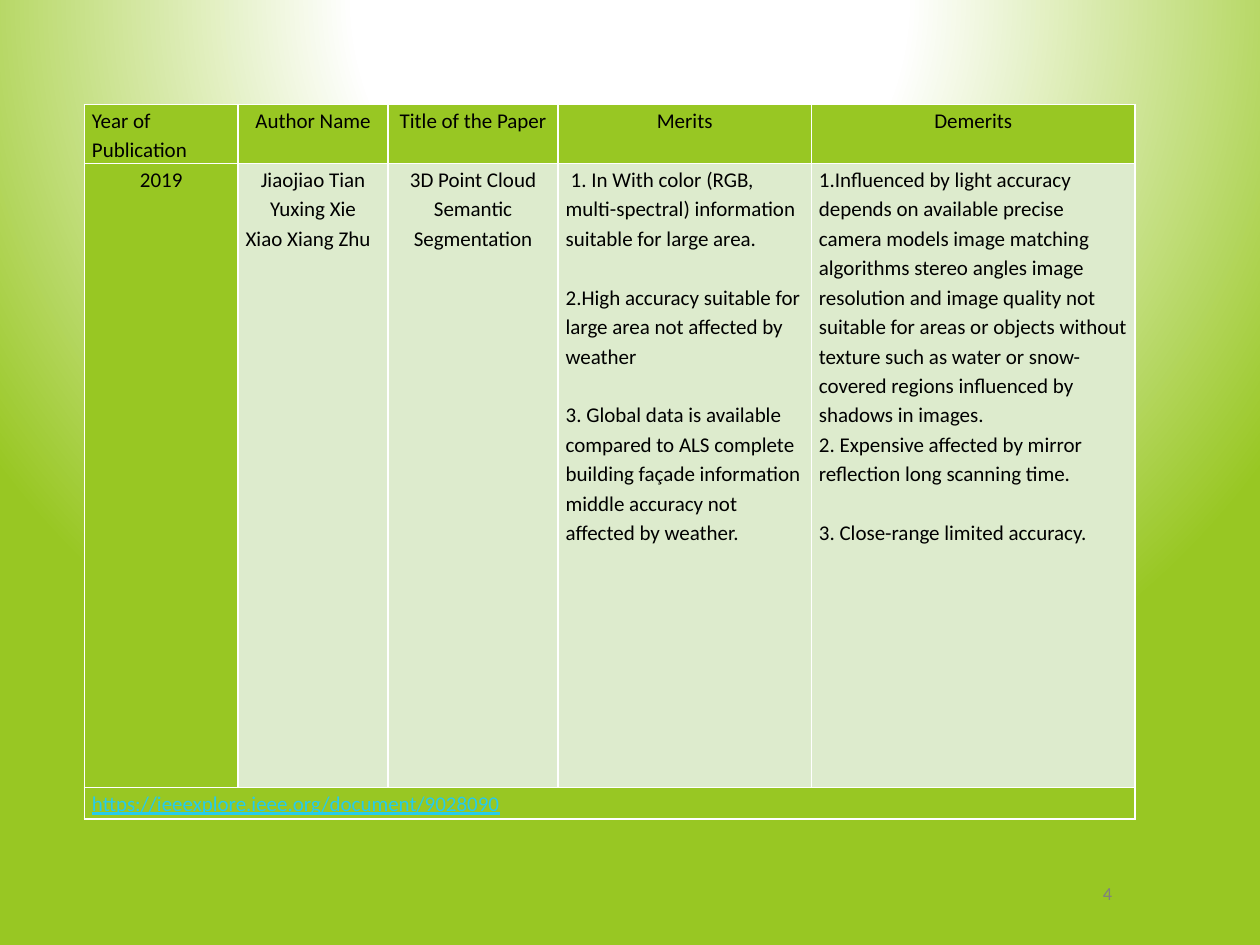
from dataclasses import dataclass

from pptx import Presentation
from pptx.dml.color import RGBColor
from pptx.enum import text
from pptx.oxml import parse_xml
from pptx.oxml.ns import nsdecls
from pptx.util import Inches, Pt

COLORS = {"green": "98C723", "pale": "DDEBCD", "white": "FFFFFF",
          "ink": "000000", "link": "26CBEC", "number": "808080"}
LEFT, CENTER = text.PP_ALIGN.LEFT, text.PP_ALIGN.CENTER
FONT = "Calibri"
BLANK_LINE = Pt(16.8)
COLUMN_WIDTHS = (1.22, 1.19, 1.35, 2.01, 2.57)
ROW_HEIGHTS = (0.47, 4.95, 0.25)
CELL_FORMAT = {"margin_left": Inches(0.06), "margin_right": Inches(0.06),
               "margin_top": 0, "margin_bottom": 0}


@dataclass
class Line:
    words: str
    align: text.PP_ALIGN = LEFT
    gap: bool = False        # one line of space above
    indent: float = 0        # first-line indent in inches
    color: str = "ink"
    underline: bool = False


@dataclass
class Entry:
    lines: list[Line]
    fill: str = "green"


def centered(*words: str) -> list[Line]:
    return [Line(line, CENTER) for line in words]


HEADER = [Entry([Line("Year of Publication")])] + [
    Entry(centered(name))
    for name in ("Author Name", "Title of the Paper", "Merits", "Demerits")]
PAPER = [
    Entry(centered("2019")),
    Entry(centered("Jiaojiao Tian", "Yuxing Xie") + [Line("Xiao Xiang Zhu")], "pale"),
    Entry(centered("3D Point Cloud Semantic", "Segmentation"), "pale"),
    Entry([
        Line("1. In With color (RGB, multi-spectral) information suitable "
             "for large area.", indent=0.04),
        Line("2.High accuracy suitable for large area not affected by weather", gap=True),
        Line("3. Global data is available compared to ALS complete building "
             "façade information middle accuracy not affected by weather.", gap=True),
    ], "pale"),
    Entry([
        Line("1.Influenced by light accuracy depends on available precise camera "
             "models image matching algorithms stereo angles image resolution and "
             "image quality not suitable for areas or objects without texture such "
             "as water or snow-covered regions influenced by shadows in images."),
        Line("2. Expensive affected by mirror reflection long scanning time."),
        Line("3. Close-range limited accuracy.", gap=True),
    ], "pale"),
]
SOURCE = [Entry([Line("https://ieeexplore.ieee.org/document/9028090",
                      color="link", underline=True)])]


def rgb(name: str) -> RGBColor:
    return RGBColor.from_string(COLORS[name])


def paint_background(slide) -> None:
    stops = "".join(
        f'<a:gs pos="{position * 1000}"><a:srgbClr val="{COLORS[color]}"/></a:gs>'
        for position, color in ((0, "white"), (35, "white"), (100, "green")))
    slide.element.cSld.insert(0, parse_xml(
        f'<p:bg {nsdecls("p", "a")}><p:bgPr><a:gradFill rotWithShape="1">'
        f'<a:gsLst>{stops}</a:gsLst><a:path path="circle">'
        '<a:fillToRect l="50000" t="-80000" r="50000" b="180000"/></a:path>'
        '</a:gradFill><a:effectLst/></p:bgPr></p:bg>'))


def add_borders(cell) -> None:
    properties = cell._tc.get_or_add_tcPr()
    for side in "LRTB":
        properties.append(parse_xml(
            f'<a:ln{side} {nsdecls("a")} w="12700"><a:solidFill>'
            f'<a:srgbClr val="{COLORS["white"]}"/></a:solidFill></a:ln{side}>'))


def write_line(paragraph, line: Line, size: float) -> None:
    paragraph.alignment = line.align
    if line.gap:
        paragraph.space_before = BLANK_LINE
    if line.indent:
        paragraph._p.get_or_add_pPr().set("indent", str(Inches(line.indent)))
    run = paragraph.add_run()
    run.text = line.words
    font_format = {"name": FONT, "size": Pt(size), "bold": False,
                   "underline": line.underline}
    for attribute, value in font_format.items():
        setattr(run.font, attribute, value)
    run.font.color.rgb = rgb(line.color)


def fill_cell(cell, entry: Entry) -> None:
    for attribute, value in CELL_FORMAT.items():
        setattr(cell, attribute, value)
    cell.fill.solid()
    cell.fill.fore_color.rgb = rgb(entry.fill)
    frame = cell.text_frame
    for index, line in enumerate(entry.lines):
        paragraph = frame.add_paragraph() if index else frame.paragraphs[0]
        paragraph.line_spacing = 1.15
        write_line(paragraph, line, 12)


def add_survey(slide) -> None:
    survey = slide.shapes.add_table(
        len(ROW_HEIGHTS), len(COLUMN_WIDTHS), Inches(0.67), Inches(0.83),
        Inches(sum(COLUMN_WIDTHS)), Inches(sum(ROW_HEIGHTS))).table
    survey.first_row = survey.horz_banding = False
    for column, width in zip(survey.columns, COLUMN_WIDTHS):
        column.width = Inches(width)
    for row, height in zip(survey.rows, ROW_HEIGHTS):
        row.height = Inches(height)
    for cell in survey.iter_cells():
        add_borders(cell)
    survey.cell(2, 0).merge(survey.cell(2, len(COLUMN_WIDTHS) - 1))
    for row, entries in enumerate((HEADER, PAPER, SOURCE)):
        for column, entry in enumerate(entries):
            fill_cell(survey.cell(row, column), entry)


def add_page_number(slide) -> None:
    frame = slide.shapes.add_textbox(
        Inches(8.5), Inches(7), Inches(0.58), Inches(0.17)).text_frame
    frame.word_wrap = True
    frame.vertical_anchor = text.MSO_ANCHOR.MIDDLE
    write_line(frame.paragraphs[0], Line("4", CENTER, color="number"), 10.5)


def main() -> None:
    deck = Presentation()
    deck.slide_width, deck.slide_height = Inches(10), Inches(7.5)
    slide = deck.slides.add_slide(deck.slide_layouts[6])
    paint_background(slide)
    add_survey(slide)
    add_page_number(slide)
    deck.save("out.pptx")


if __name__ == "__main__":
    main()
